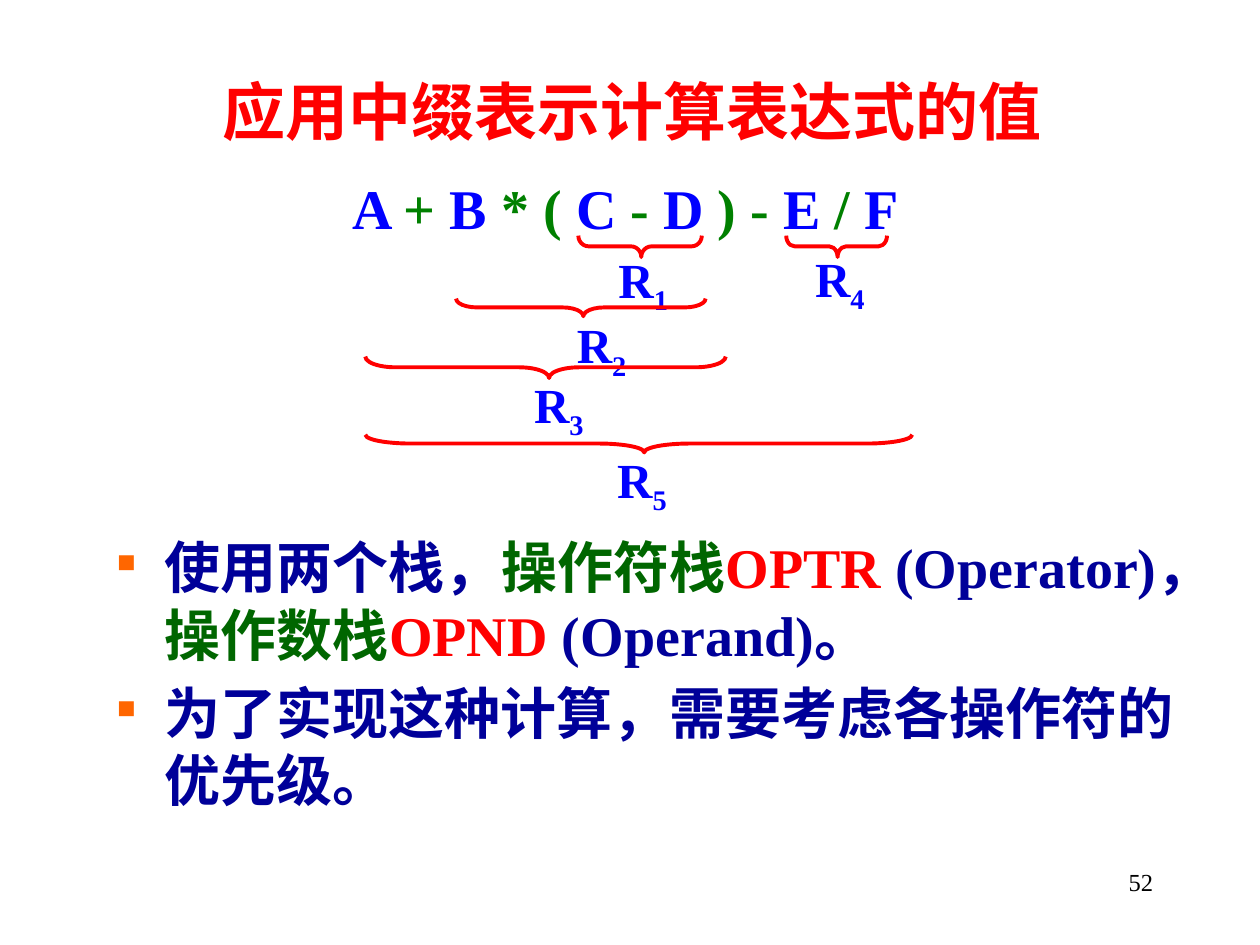
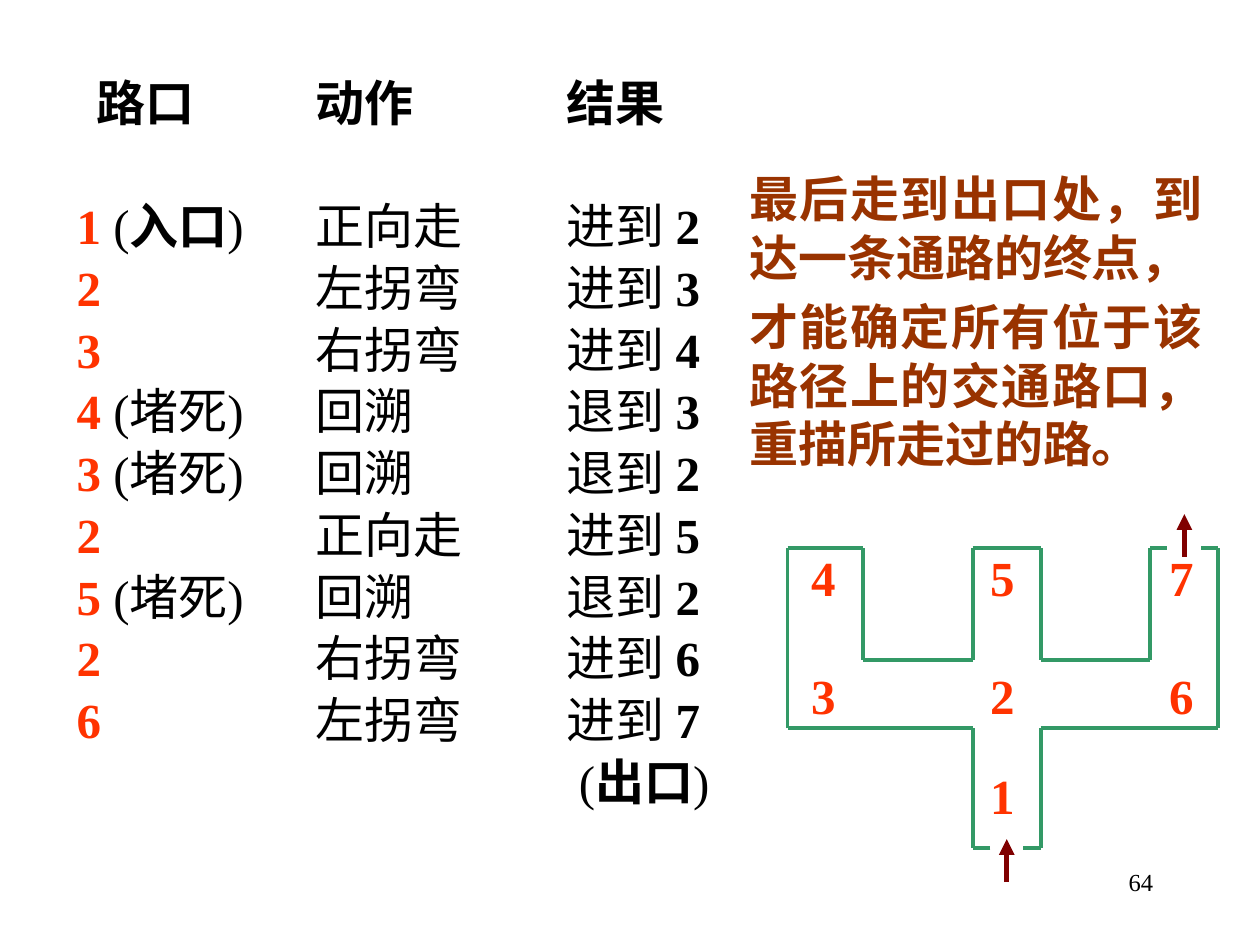
import itertools

import lxml.etree
import pptx
import pptx.dml.color
import pptx.enum.shapes
import pptx.enum.text
import pptx.oxml.ns
import pptx.util

PX_PER_INCH = 100
LATIN = "Times New Roman"
CHINESE = "Noto Sans CJK SC"
BLACK, RED, BLUE, GREEN = "000000", "FF0000", "0000FF", "008000"
NAVY, DARK_GREEN, ORANGE = "000099", "006600", "FF6600"
BROWN, SCARLET, WALL, MAROON = "993300", "FF3300", "339966", "800000"
ALIGN = pptx.enum.text.PP_ALIGN
ANCHOR = pptx.enum.text.MSO_ANCHOR


def px(length):
    return pptx.util.Emu(round(length * 914400 / PX_PER_INCH))


def rgb(colour):
    return pptx.dml.color.RGBColor.from_string(colour)


def add_xml(parent, tag, **attributes):
    element = lxml.etree.SubElement(parent, pptx.oxml.ns.qn(tag))
    for name, value in attributes.items():
        element.set(name, str(value))
    return element


class SlideWriter:
    def __init__(self, presentation):
        self.presentation = presentation
        self.slide = None

    def new_slide(self, number, title=None):
        layout = self.presentation.slide_layouts[5 if title else 6]
        self.slide = self.presentation.slides.add_slide(layout)
        if title:
            shape = self.slide.shapes.title
            shape.left, shape.top, shape.width, shape.height = map(px, (156, 50, 692, 75))
            shape.text_frame.vertical_anchor = ANCHOR.MIDDLE
            paragraph = self.paragraph(shape.text_frame, ALIGN.CENTER)
            self.run(paragraph, title, 36, RED, True)
        self.text(717, 683, 208, 50, [(str(number), BLACK)], 14, False, ALIGN.RIGHT)

    def frame(self, left, top, width, height, wrap=True):
        box = self.slide.shapes.add_textbox(*map(px, (left, top, width, height)))
        box.text_frame.word_wrap = wrap
        return box.text_frame

    def paragraph(self, frame, align=ALIGN.LEFT, space_before=0):
        paragraph = frame.paragraphs[0]
        if paragraph.runs:
            paragraph = frame.add_paragraph()
            paragraph.space_before = pptx.util.Pt(space_before)
        else:
            paragraph.space_before = pptx.util.Pt(0)
        paragraph.alignment = align
        return paragraph

    def run(self, paragraph, text, size, colour, bold=False, baseline=0):
        run = paragraph.add_run()
        run.text = text
        run.font.size = pptx.util.Pt(size)
        run.font.bold = bold
        run.font.color.rgb = rgb(colour)
        run.font.name = LATIN
        properties = run.font._element
        add_xml(properties, "a:ea", typeface=CHINESE)
        if baseline:
            properties.set("baseline", str(baseline * 1000))

    def text(self, left, top, width, height, pieces, size, bold=True, align=ALIGN.LEFT, wrap=True):
        paragraph = self.paragraph(self.frame(left, top, width, height, wrap), align)
        for piece, colour in pieces:
            self.run(paragraph, piece, size, colour, bold)

    def bullets(self, left, top, width, height, items, size):
        frame = self.frame(left, top, width, height)
        for pieces in items:
            paragraph = self.paragraph(frame, space_before=size / 5)
            properties = paragraph._p.get_or_add_pPr()
            properties.set("marL", str(px(38)))
            properties.set("indent", str(px(-38)))
            add_xml(add_xml(properties, "a:buClr"), "a:srgbClr", val=ORANGE)
            add_xml(properties, "a:buSzPct", val=46000)
            add_xml(properties, "a:buChar", char="■")
            for piece, colour in pieces:
                self.run(paragraph, piece, size, colour, True)

    def brace(self, left, top, span, depth):
        x = left + (span - depth) / 2
        y = top - (span - depth) / 2
        shape = self.slide.shapes.add_shape(
            pptx.enum.shapes.MSO_SHAPE.LEFT_BRACE, *map(px, (x, y, depth, span)))
        shape.rotation = 270
        shape.adjustments[0] = span / depth / 12
        shape.adjustments[1] = 0.51
        shape.shadow.inherit = False
        shape.fill.background()
        shape.line.color.rgb = rgb(RED)
        shape.line.width = pptx.util.Pt(2.25)

    def result_label(self, left, top, index):
        paragraph = self.paragraph(self.frame(left, top, 61, 57, False))
        self.run(paragraph, "R", 28, BLUE, True)
        self.run(paragraph, str(index), 28, BLUE, True, -25)

    def line(self, start, end, colour, width, arrow=False):
        connector = self.slide.shapes.add_connector(
            pptx.enum.shapes.MSO_CONNECTOR.STRAIGHT, *map(px, start + end))
        connector.line.color.rgb = rgb(colour)
        connector.line.width = pptx.util.Pt(width)
        if arrow:
            add_xml(connector.line._get_or_add_ln(), "a:tailEnd", type="triangle")
        add_xml(connector._element.spPr, "a:effectLst")

    def walls(self, corners):
        for start, end in itertools.pairwise(corners):
            self.line(start, end, WALL, 2.25)

    def tabbed_row(self, frame, pieces, stops, space_before=0):
        paragraph = self.paragraph(frame, space_before=space_before)
        paragraph.line_spacing = 1.05
        tabs = add_xml(paragraph._p.get_or_add_pPr(), "a:tabLst")
        for position in stops:
            add_xml(tabs, "a:tab", pos=px(position), algn="l")
        for piece, colour, bold in pieces:
            self.run(paragraph, piece, 28, colour, bold)


def build_expression(writer):
    writer.new_slide(52, "应用中缀表示计算表达式的值")
    formula = ["A ", "+", " B ", "* (", " C ", "-", " D ", ") -", " E ", "/", " F"]
    pieces = list(zip(formula, itertools.cycle((BLUE, GREEN))))
    writer.text(270, 133, 500, 60, pieces, 32, wrap=False)
    steps = [
        ((459, 187, 98, 17), (481, 193)),
        ((362, 237, 198, 14), (448, 245)),
        ((290, 283, 286, 17), (414, 292)),
        ((624, 187, 80, 17), (637, 192)),
        ((290, 345, 434, 14), (480, 352)),
    ]
    for index, (brace, label) in enumerate(steps, 1):
        writer.brace(*brace)
        writer.result_label(*label, index)
    writer.bullets(83, 418, 895, 280, [
        [("使用两个栈，", NAVY), ("操作符栈", DARK_GREEN), ("OPTR", RED),
         (" (Operator)，", NAVY), ("操作数栈", DARK_GREEN), ("OPND ", RED),
         ("(Operand)。", NAVY)],
        [("为了实现这种计算，需要考虑各操作符的优先级。", NAVY)],
    ], 32)


def build_maze(writer):
    writer.new_slide(64)
    frame = writer.frame(51, 50, 574, 647)
    columns = (190, 389)
    writer.tabbed_row(frame, [("\t路口\t动作\t结果", BLACK, True)], (16, *columns))
    moves = [
        (1, "入口", "正向走", "进到", 2),
        (2, "", "左拐弯", "进到", 3),
        (3, "", "右拐弯", "进到", 4),
        (4, "堵死", "回溯", "退到", 3),
        (3, "堵死", "回溯", "退到", 2),
        (2, "", "正向走", "进到", 5),
        (5, "堵死", "回溯", "退到", 2),
        (2, "", "右拐弯", "进到", 6),
        (6, "", "左拐弯", "进到", 7),
    ]
    for row, (crossing, state, action, result, target) in enumerate(moves):
        pieces = [(str(crossing), SCARLET, True)]
        if state:
            pieces += [(" (", BLACK, False), (state, BLACK, state == "入口"), (")", BLACK, False)]
        pieces += [(f"\t{action}\t{result} ", BLACK, False), (str(target), BLACK, True)]
        writer.tabbed_row(frame, pieces, columns, space_before=0 if row else 35.3)
    exit_pieces = [("\t\t (", BLACK, False), ("出口", BLACK, True), (")", BLACK, False)]
    writer.tabbed_row(frame, exit_pieces, columns)

    conclusion = writer.frame(585, 129, 379, 286)
    for sentence in ("最后走到出口处，到达一条通路的终点，",
                     "才能确定所有位于该路径上的交通路口，重描所走过的路。"):
        paragraph = writer.paragraph(conclusion, ALIGN.JUSTIFY, 5.6)
        writer.run(paragraph, sentence, 28, BROWN, True)

    writer.walls([(786, 673), (772, 673), (772, 578), (625, 578), (625, 435), (685, 435),
                  (685, 524), (772, 524), (772, 435), (826, 435), (826, 524), (913, 524),
                  (913, 435), (926, 435)])
    writer.walls([(812, 673), (826, 673), (826, 578), (967, 578), (967, 435), (953, 435)])
    crossings = [("4", "5", "7"), ("3", "2", "6"), ("", "1", "")]
    for top, names in zip((430, 523, 603), crossings):
        for left, name in zip((634, 776, 918), names):
            if name:
                writer.text(left, top, 40, 57, [(name, SCARLET)], 28, wrap=False)
    for x, y in ((799, 700), (940, 442)):
        writer.line((x, y), (x, y - 34), MAROON, 3, arrow=True)


def main():
    presentation = pptx.Presentation()
    presentation.slide_width, presentation.slide_height = px(1000), px(750)
    writer = SlideWriter(presentation)
    build_expression(writer)
    build_maze(writer)
    presentation.save("out.pptx")


if __name__ == "__main__":
    main()
